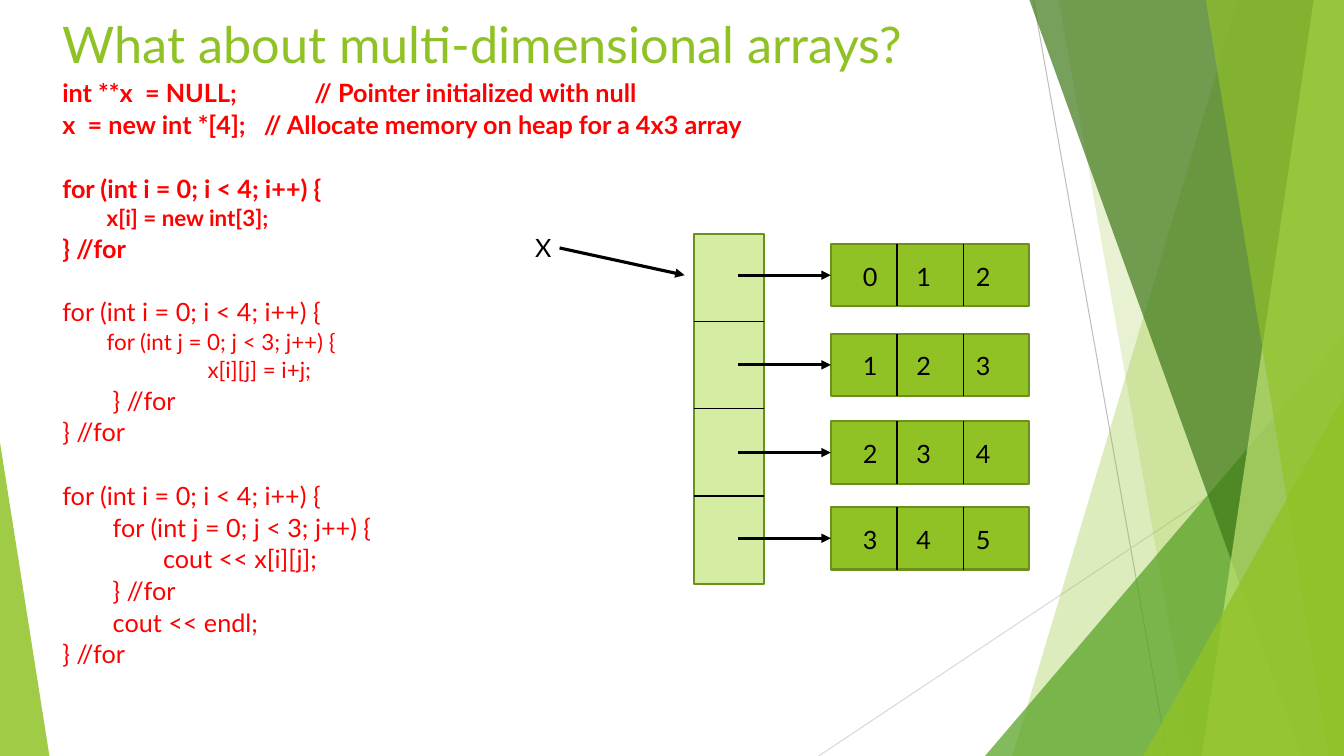
from dataclasses import dataclass

from lxml import etree
from pptx import Presentation
from pptx.dml.color import RGBColor
from pptx.enum.shapes import MSO_CONNECTOR, MSO_SHAPE
from pptx.enum.text import MSO_ANCHOR, PP_ALIGN
from pptx.oxml.ns import qn
from pptx.util import Inches, Pt

STRAIGHT = MSO_CONNECTOR.STRAIGHT
RECTANGLE = MSO_SHAPE.RECTANGLE
TRIANGLE = MSO_SHAPE.ISOSCELES_TRIANGLE
TOP = MSO_ANCHOR.TOP
LEFT = PP_ALIGN.LEFT


@dataclass(frozen=True)
class Theme:
    font: str = "Lato"
    green: str = "90C226"
    mid_green: str = "54A021"
    dark_green: str = "3F7819"
    light_green: str = "C0E474"
    pale_green: str = "D5EDA2"
    outline: str = "6B901C"
    code: str = "FF0000"
    ink: str = "000000"
    ray_dark: str = "BFBFBF"
    ray_light: str = "D9D9D9"
    title_size: int = 36
    text_size: int = 18
    small_size: int = 16


THEME = Theme()
WIDTH, HEIGHT = 13.33, 7.5
ROWS, COLUMNS = 4, 3
ROW_TOPS = (2.42, 3.31, 4.18, 5.03)

# Code lines: text, indent, size, bold, starts a new block, tab stop
NORMAL, SMALL = THEME.text_size, THEME.small_size
CODE = [
    ("int **x  = NULL;\t// Pointer initialized with null", 0, NORMAL, True, False, 2.5),
    ("x  = new int *[4];\t// Allocate memory on heap for a 4x3 array", 0, NORMAL, True, False, 2),
    ("for (int i = 0; i < 4; i++) {", 0, NORMAL, True, True, None),
    ("x[i] = new int[3];", 0.44, SMALL, True, False, None),
    ("} //for", 0, NORMAL, True, False, None),
    ("for (int i = 0; i < 4; i++) {", 0, NORMAL, False, True, None),
    ("for (int j = 0; j < 3; j++) {", 0.44, SMALL, False, False, None),
    ("x[i][j] = i+j;", 1.44, SMALL, False, False, None),
    ("} //for", 0.5, NORMAL, False, False, None),
    ("} //for", 0, NORMAL, False, False, None),
    ("for (int i = 0; i < 4; i++) {", 0, NORMAL, False, True, None),
    ("for (int j = 0; j < 3; j++) {", 0.5, NORMAL, False, False, None),
    ("cout << x[i][j];", 1, NORMAL, False, False, None),
    ("} //for", 0.5, NORMAL, False, False, None),
    ("cout << endl;", 0.5, NORMAL, False, False, None),
    ("} //for", 0, NORMAL, False, False, None),
]


def paint(shape, color, alpha=100, outline=None):
    shape.shadow.inherit = False
    shape.fill.solid()
    shape.fill.fore_color.rgb = RGBColor.from_string(color)
    if alpha < 100:
        color_element = shape.fill._xPr.find(qn("a:solidFill"))[0]
        etree.SubElement(color_element, qn("a:alpha"), val=str(alpha * 1000))
    if outline:
        shape.line.color.rgb = RGBColor.from_string(outline)
        shape.line.width = Pt(1.5)
    else:
        shape.line.fill.background()


def add_line(slide, start, end, color=THEME.ink, width=1, arrow=False):
    points = [Inches(value) for value in (*start, *end)]
    connector = slide.shapes.add_connector(STRAIGHT, *points)
    connector.line.color.rgb = RGBColor.from_string(color)
    connector.line.width = Pt(width)
    if arrow:
        etree.SubElement(connector.line._get_or_add_ln(), qn("a:tailEnd"), type="triangle")
    etree.SubElement(connector._element.spPr, qn("a:effectLst"))


def format_runs(paragraph, size, color, bold=False):
    for run in paragraph.runs:
        run.font.name = THEME.font
        run.font.size = Pt(size)
        run.font.bold = bold
        run.font.color.rgb = RGBColor.from_string(color)


def set_tabs(paragraph, stops):
    tab_list = etree.SubElement(paragraph._p.get_or_add_pPr(), qn("a:tabLst"))
    for stop in stops:
        etree.SubElement(tab_list, qn("a:tab"), pos=str(Inches(stop)), algn="l")


def add_label(slide, text, left, top, width, stops=()):
    box = slide.shapes.add_textbox(Inches(left), Inches(top), Inches(width), Inches(0.4))
    box.text_frame.word_wrap = bool(stops)
    paragraph = box.text_frame.paragraphs[0]
    paragraph.text = text
    if stops:
        set_tabs(paragraph, stops)
    format_runs(paragraph, THEME.text_size, THEME.ink)


def add_panel(slide, top_left, bottom_left, color, alpha, top_right=WIDTH):
    """Slanted panel that runs from top to bottom at the right edge."""
    corners = [(top_left, 0), (top_right, 0), (WIDTH, HEIGHT), (bottom_left, HEIGHT)]
    points = [(Inches(x), Inches(y)) for x, y in corners]
    builder = slide.shapes.build_freeform(*points[0])
    builder.add_line_segments(points[1:], close=True)
    paint(builder.convert_to_shape(), color, alpha)


def add_wedge(slide, left, top, width, peak, color, alpha):
    """Right triangle that stands on the bottom edge."""
    shape = slide.shapes.add_shape(
        TRIANGLE, Inches(left), Inches(top), Inches(width), Inches(HEIGHT - top))
    shape.adjustments[0] = peak
    paint(shape, color, alpha)


def add_backdrop(slide):
    add_line(slide, (10.25, 0), (11.58, HEIGHT), THEME.ray_dark, 0.75)
    add_line(slide, (WIDTH, 4.03), (8.12, HEIGHT), THEME.ray_light, 0.75)
    add_panel(slide, 12.28, 10.04, THEME.green, 30)
    add_panel(slide, 10.5, 11.83, THEME.green, 20)
    add_wedge(slide, 9.77, 3.33, 3.56, 1, THEME.mid_green, 72)
    add_panel(slide, 10.21, 12.91, THEME.dark_green, 70)
    add_panel(slide, 13.03, 11.92, THEME.light_green, 70)
    add_panel(slide, 11.96, 13.18, THEME.green, 65)
    add_wedge(slide, 11.34, 3.93, 1.99, 1, THEME.green, 80)
    add_wedge(slide, 0, 4.39, 0.49, 0, THEME.green, 85)


def add_title(slide, left, top, width, height):
    title = slide.shapes.title
    title.left, title.top = Inches(left), Inches(top)
    title.width, title.height = Inches(width), Inches(height)
    title.text_frame.text = "What about multi-dimensional arrays?"
    title.text_frame.vertical_anchor = TOP
    paragraph = title.text_frame.paragraphs[0]
    paragraph.alignment = LEFT
    format_runs(paragraph, THEME.title_size, THEME.green)


def add_code(slide, left, top, width, height):
    box = slide.shapes.add_textbox(Inches(left), Inches(top), Inches(width), Inches(height))
    frame = box.text_frame
    frame.word_wrap = True
    for index, (text, indent, size, bold, new_block, tab) in enumerate(CODE):
        paragraph = frame.add_paragraph() if index else frame.paragraphs[0]
        paragraph.text = text
        if index:
            paragraph.space_before = Pt(24 if new_block else 1)
        if indent:
            paragraph._p.get_or_add_pPr().set("marL", str(Inches(indent)))
        if tab:
            set_tabs(paragraph, [tab])
        format_runs(paragraph, size, THEME.code, bold)


def add_pointer_column(slide, left, top, width, height):
    column = slide.shapes.add_shape(
        RECTANGLE, Inches(left), Inches(top), Inches(width), Inches(height))
    paint(column, THEME.pale_green, outline=THEME.outline)
    for row in range(1, ROWS):
        y = top + row * height / ROWS
        add_line(slide, (left, y), (left + width, y))


def add_array_row(slide, row, left, top, width, height):
    bar = slide.shapes.add_shape(
        RECTANGLE, Inches(left), Inches(top), Inches(width), Inches(height))
    paint(bar, THEME.green, outline=THEME.outline)
    for column in range(1, COLUMNS):
        x = left + column * width / COLUMNS
        add_line(slide, (x, top), (x, top + height))
    middle = top + height / 2
    add_line(slide, (left - 0.92, middle), (left, middle), width=2.25, arrow=True)
    values = "\t".join(str(row + column) for column in range(COLUMNS))
    add_label(slide, values, left + 0.22, top + 0.12, 1.64, (0.53, 1.12))


def main():
    presentation = Presentation()
    presentation.slide_width, presentation.slide_height = Inches(WIDTH), Inches(HEIGHT)
    slide = presentation.slides.add_slide(presentation.slide_layouts.get_by_name("Title Only"))
    add_backdrop(slide)
    add_title(slide, 0.52, 0.08, 9.4, 0.78)
    add_code(slide, 0.52, 0.72, 7.84, 6.67)
    # Memory diagram
    add_pointer_column(slide, 6.88, 2.32, 0.7, 3.47)
    for row, top in enumerate(ROW_TOPS):
        add_array_row(slide, row, 8.24, top, 1.97, 0.62)
    add_label(slide, "X", 5.21, 2.26, 0.34)
    add_line(slide, (5.55, 2.46), (6.79, 2.73), width=2.25, arrow=True)
    presentation.save("out.pptx")


if __name__ == "__main__":
    main()
